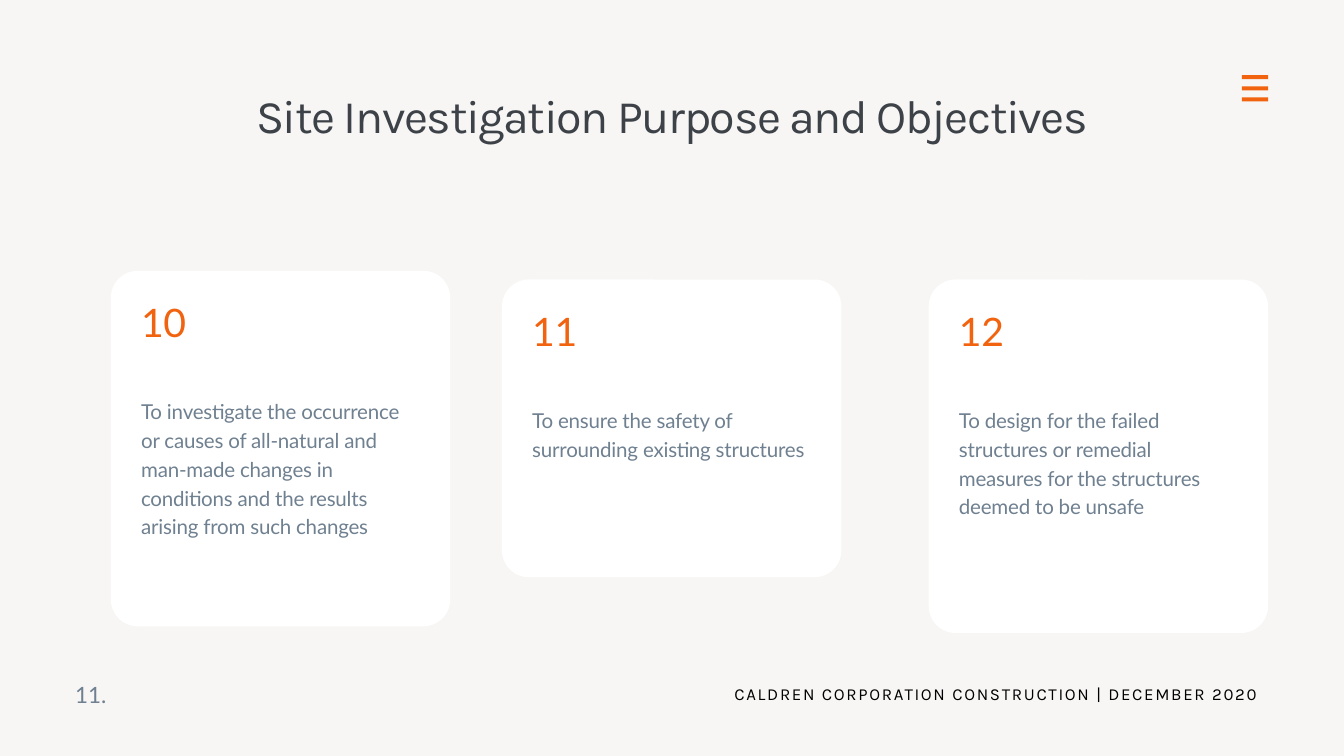
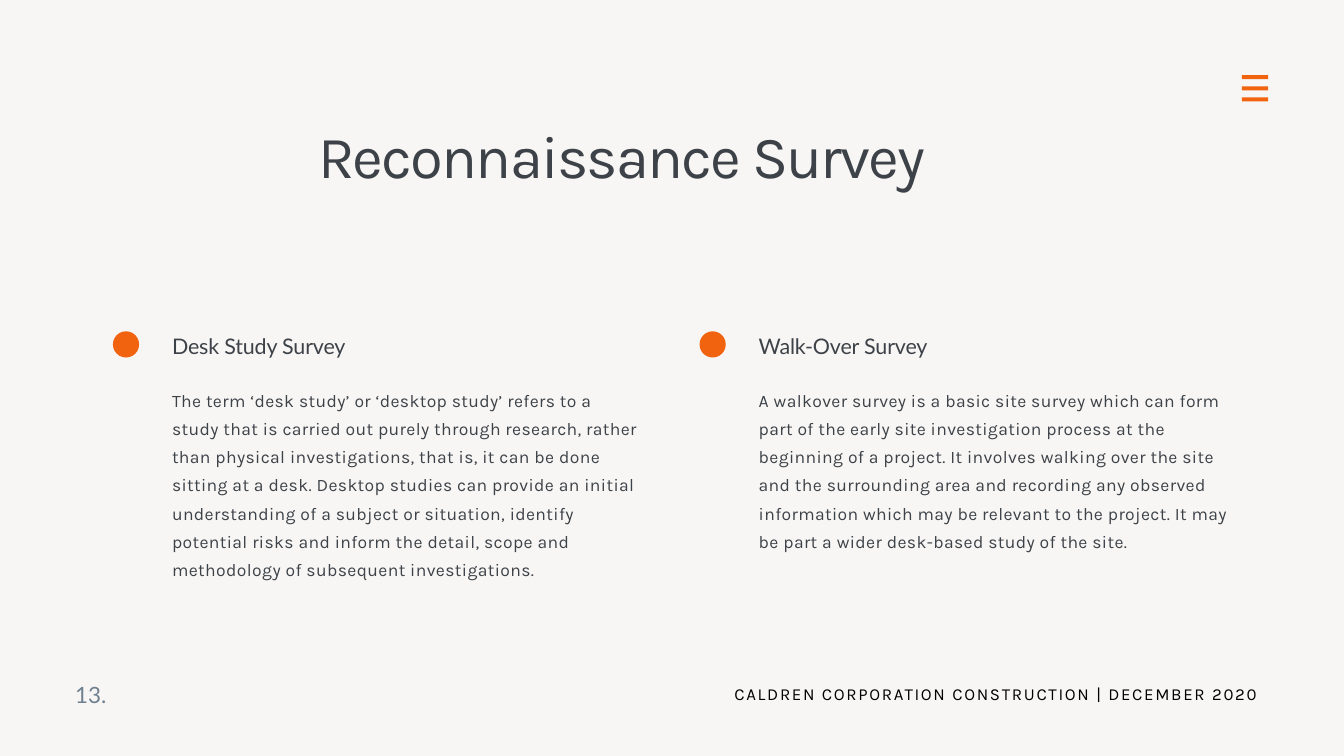
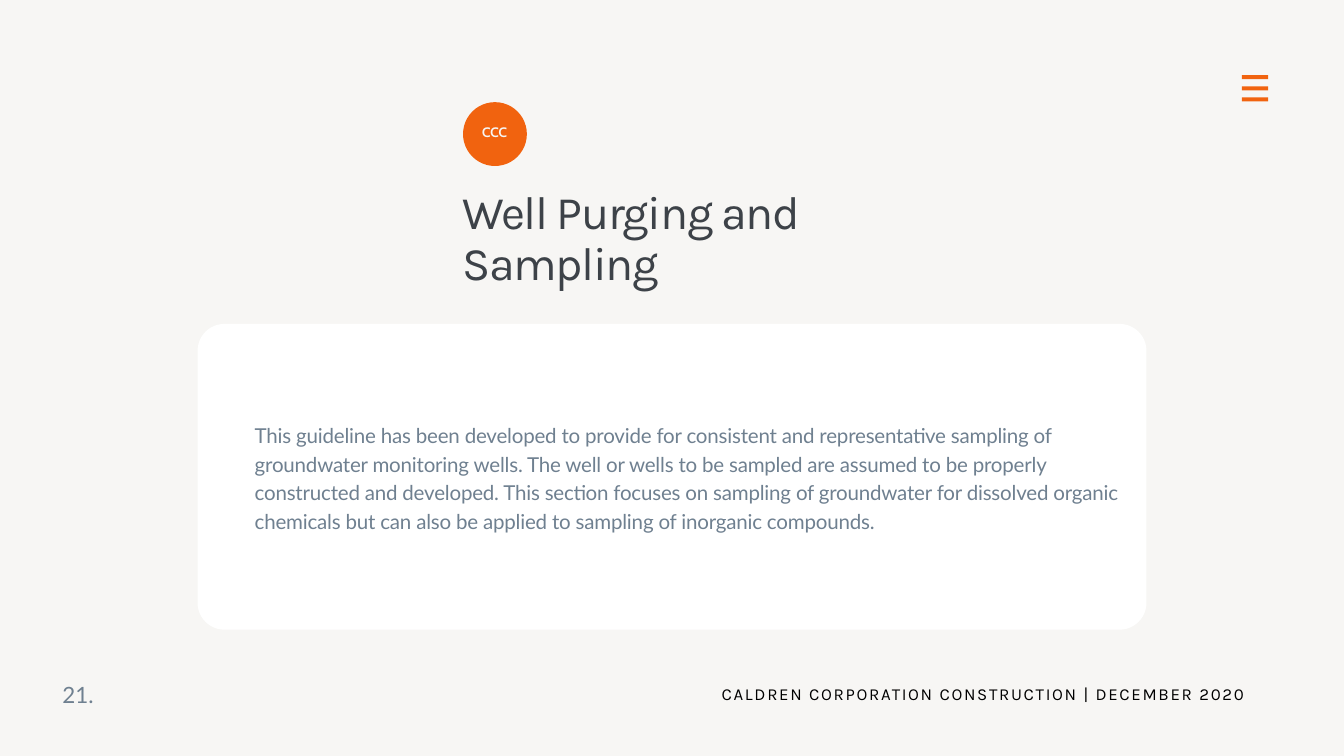
from dataclasses import dataclass, replace
from typing import Any, NamedTuple

from lxml import etree
from pptx import Presentation
from pptx import util as u
from pptx.dml.color import RGBColor
from pptx.enum import shapes, text
from pptx.oxml.ns import qn


class Box(NamedTuple):
    left: float
    top: float
    width: float
    height: float

    def lengths(self) -> list[u.Length]:
        return [u.Inches(value) for value in self]


@dataclass(frozen=True)
class Style:
    font: str
    size: float
    colour: str
    leading: float
    tracking: float = 0
    align: text.PP_ALIGN = text.PP_ALIGN.LEFT


@dataclass(frozen=True)
class Theme:
    paper: str = "F7F6F4"
    card: str = "FFFFFF"
    accent: str = "F1630F"
    radius: float = 0.4
    title: Style = Style("Karla", 50, "3D4248", 55, -1.5, text.PP_ALIGN.CENTER)
    big_title: Style = Style("Karla", 64, "3D4248", 70.4, -1.9, text.PP_ALIGN.CENTER)
    card_number: Style = Style("Lato", 42, "F1630F", 58.8, -0.4)
    card_body: Style = Style("Lato", 22, "6F8090", 30.8, -0.2)
    heading: Style = Style("Lato", 23, "3D4248", 32.2, -0.2)
    detail: Style = Style("Karla", 18.8, "3D4248", 30.1, 0.4)
    badge: Style = Style("Cabin", 20.9, "F7F6F4", 20.9, -0.6, text.PP_ALIGN.CENTER)
    page: Style = Style("Lato", 24, "6F8090", 33.6)
    footer: Style = Style("Karla", 18, "000000", 25.2, 1.8, text.PP_ALIGN.CENTER)


class Card(NamedTuple):
    left: float
    top: float
    height: float
    number: str
    body: str


class Survey(NamedTuple):
    left: float
    height: float
    heading: str
    detail: str


THEME = Theme()
FOOTER = "CALDREN CORPORATION CONSTRUCTION | DECEMBER 2020"
CARD_WIDTH = 5.05
FRAME_FORMAT = {
    "margin_left": 0,
    "margin_top": 0,
    "margin_right": 0,
    "margin_bottom": 0,
    "word_wrap": True,
    "auto_size": text.MSO_AUTO_SIZE.NONE,
    "vertical_anchor": text.MSO_ANCHOR.TOP,
}
CARDS = [
    Card(1.65, 4.03, 5.29, "10", "To investigate the occurrence or causes of all-natural and "
         "man-made changes in conditions and the results arising from such changes"),
    Card(7.47, 4.16, 4.43, "11", "To ensure the safety of surrounding existing structures"),
    Card(13.82, 4.16, 5.26, "12", "To design for the failed structures or remedial measures "
         "for the structures deemed to be unsafe"),
]
SURVEYS = [
    Survey(1.68, 2.85, "Desk Study Survey",
           "The term ‘desk study’ or ‘desktop study’ refers to a study that is carried out "
           "purely through research, rather than physical investigations, that is, it can be "
           "done sitting at a desk. Desktop studies can provide an initial understanding of a "
           "subject or situation, identify potential risks and inform the detail, scope and "
           "methodology of subsequent investigations."),
    Survey(10.41, 2.43, "Walk-Over Survey",
           "A walkover survey is a basic site survey which can form part of the early site "
           "investigation process at the beginning of a project. It involves walking over the "
           "site and the surrounding area and recording any observed information which may be "
           "relevant to the project. It may be part a wider desk-based study of the site."),
]
PURGING = (
    "This guideline has been developed to provide for consistent and representative sampling "
    "of groundwater monitoring wells. The well or wells to be sampled are assumed to be "
    "properly constructed and developed. This section focuses on sampling of groundwater for "
    "dissolved organic chemicals but can also be applied to sampling of inorganic compounds."
)


def set_format(target: Any, values: dict[str, Any]) -> None:
    for name, value in values.items():
        setattr(target, name, value)


def write(shape: Any, content: str, style: Style) -> None:
    frame = shape.text_frame
    set_format(frame, FRAME_FORMAT)
    paragraph = frame.paragraphs[0]
    properties = paragraph._p.get_or_add_pPr()
    set_format(paragraph, {
        "alignment": style.align,
        "line_spacing": u.Pt(style.leading),
        "space_before": u.Pt(0),
    })
    if shape.is_placeholder:
        properties.set("marL", "0")
        properties.set("indent", "0")
        etree.SubElement(properties, qn("a:buNone"))
    run = paragraph.add_run()
    run.text = content
    set_format(run.font, {"name": style.font, "size": u.Pt(style.size), "bold": False})
    run.font.color.rgb = RGBColor.from_string(style.colour)
    run._r.get_or_add_rPr().set("spc", str(round(style.tracking * 100)))


def add_text(slide: Any, box: Box, content: str, style: Style) -> None:
    write(slide.shapes.add_textbox(*box.lengths()), content, style)


def fill_placeholder(slide: Any, index: int, box: Box, content: str, style: Style) -> None:
    shape = slide.placeholders[index]
    set_format(shape, dict(zip(("left", "top", "width", "height"), box.lengths())))
    write(shape, content, style)
    slide.shapes.element.append(shape.element)


def add_block(slide: Any, kind: shapes.MSO_SHAPE, box: Box, colour: str) -> Any:
    shape = slide.shapes.add_shape(kind, *box.lengths())
    shape.shadow.inherit = False
    shape.fill.solid()
    shape.fill.fore_color.rgb = RGBColor.from_string(colour)
    shape.line.fill.background()
    return shape


def add_card(slide: Any, box: Box) -> None:
    shape = add_block(slide, shapes.MSO_SHAPE.ROUNDED_RECTANGLE, box, THEME.card)
    shape.adjustments[0] = THEME.radius / min(box.width, box.height)


def add_slide(presentation: Any, layout: int, page: str, shift: float = 0) -> Any:
    slide = presentation.slides.add_slide(presentation.slide_layouts[layout])
    for bar in range(3):
        box = Box(18.48, 1.12 + bar * 0.33 / 2, 0.39, 0.06)
        add_block(slide, shapes.MSO_SHAPE.RECTANGLE, box, THEME.accent)
    add_text(slide, Box(1.12 + shift, 10.07, 4.8, 0.44), page, THEME.page)
    add_text(slide, Box(10.76 + shift, 10.13, 8.12, 0.34), FOOTER, THEME.footer)
    return slide


def build_objectives(presentation: Any) -> None:
    slide = add_slide(presentation, 5, "11.")
    fill_placeholder(slide, 0, Box(2.99, 1.36, 14.02, 0.79),
                     "Site Investigation Purpose and Objectives", THEME.title)
    for card in CARDS:
        add_card(slide, Box(card.left, card.top, CARD_WIDTH, card.height))
        left = card.left + 0.45
        add_text(slide, Box(left, card.top + 0.3, 0.84, 0.76), card.number, THEME.card_number)
        add_text(slide, Box(left, card.top + 1.85, 4.16, 2.11), card.body, THEME.card_body)


def build_reconnaissance(presentation: Any) -> None:
    slide = add_slide(presentation, 4, "13.")
    fill_placeholder(slide, 0, Box(1.31, 1.86, 15.89, 1),
                     "Reconnaissance Survey", THEME.big_title)
    for column, survey in enumerate(SURVEYS):
        add_block(slide, shapes.MSO_SHAPE.OVAL, Box(survey.left, 4.93, 0.39, 0.39), THEME.accent)
        left = survey.left + 0.88
        index = 1 + 2 * column
        fill_placeholder(slide, index, Box(left, 4.89, 7, 0.42), survey.heading, THEME.heading)
        fill_placeholder(slide, index + 1, Box(left, 5.7, 7, survey.height),
                         survey.detail, THEME.detail)


def build_purging(presentation: Any) -> None:
    slide = add_slide(presentation, 1, "21.", shift=-0.19)
    add_card(slide, Box(2.94, 4.82, 14.12, 4.55))
    add_block(slide, shapes.MSO_SHAPE.OVAL, Box(6.89, 1.52, 0.95, 0.95), THEME.accent)
    add_text(slide, Box(6.98, 1.82, 0.76, 0.32), "ccc", THEME.badge)
    fill_placeholder(slide, 0, Box(6.88, 2.79, 5.93, 1.55), "Well Purging and Sampling",
                     replace(THEME.title, align=text.PP_ALIGN.LEFT))
    fill_placeholder(slide, 1, Box(3.79, 6.23, 13.06, 1.69), PURGING, THEME.card_body)


def main() -> None:
    presentation = Presentation()
    set_format(presentation, {"slide_width": u.Inches(20), "slide_height": u.Inches(11.25)})
    background = presentation.slide_master.background.fill
    background.solid()
    background.fore_color.rgb = RGBColor.from_string(THEME.paper)
    build_objectives(presentation)
    build_reconnaissance(presentation)
    build_purging(presentation)
    presentation.save("out.pptx")


if __name__ == "__main__":
    main()
